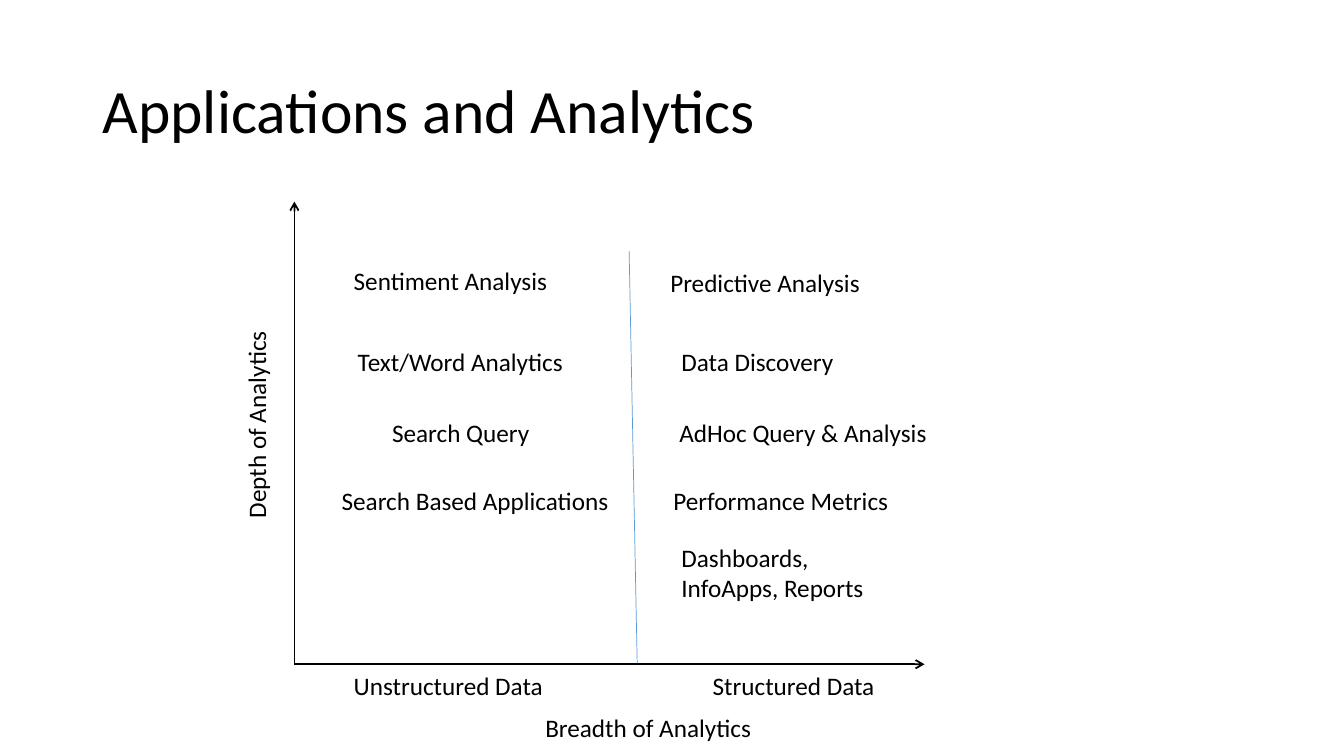
from lxml import etree
from pptx import Presentation
from pptx.dml.color import RGBColor
from pptx.enum import shapes, text
from pptx.oxml import ns
from pptx.util import Inches, Pt

BLACK = RGBColor(0x00, 0x00, 0x00)
BLUE = RGBColor(0x5B, 0x9B, 0xD5)
FONT = "Calibri"
LABEL_HEIGHT = 0.4

# Content: label, left, width
TITLE = "Applications and Analytics"
ROW_TOPS = (2.58, 3.39, 4.09, 4.77)
UNSTRUCTURED = [
    ("Sentiment Analysis", 3.41, 2.14),
    ("Text/Word Analytics", 3.45, 2.26),
    ("Search Query", 3.79, 1.58),
    ("Search Based Applications", 3.29, 2.88),
]
STRUCTURED = [
    ("Predictive Analysis", 6.55, 2.1),
    ("Data Discovery", 6.66, 1.73),
    ("AdHoc Query & Analysis", 6.64, 2.68),
    ("Performance Metrics", 6.58, 2.36),
]
REPORTS = ["Dashboards, ", "InfoApps, Reports"]
CATEGORIES = [("Unstructured Data", 3.41, 2.1), ("Structured Data", 6.97, 1.83)]

# Lines: start, end, colour, weight, arrow
LINES = [
    ((2.92, 6.59), (2.92, 2), BLACK, 1.25, True),
    ((2.92, 6.59), (9.17, 6.59), BLACK, 1.25, True),
    ((6.24, 2.49), (6.32, 6.58), BLUE, 0.5, False),
]

presentation = Presentation()
presentation.slide_width = Inches(13.33)
presentation.slide_height = Inches(7.5)
slide = presentation.slides.add_slide(presentation.slide_layouts[6])


def add_text(lines, left, top, width, height=LABEL_HEIGHT, size=18, wrap=False):
    shape = slide.shapes.add_textbox(*map(Inches, (left, top, width, height)))
    frame = shape.text_frame
    frame.word_wrap = wrap
    for index, line in enumerate(lines):
        paragraph = frame.add_paragraph() if index else frame.paragraphs[0]
        run = paragraph.add_run()
        run.text = line
        run.font.name = FONT
        run.font.size = Pt(size)
        run.font.color.rgb = BLACK
    return shape


def add_line(start, end, colour, weight, arrow):
    connector = slide.shapes.add_connector(
        shapes.MSO_CONNECTOR.STRAIGHT, *map(Inches, start + end))
    connector.line.color.rgb = colour
    connector.line.width = Pt(weight)
    if arrow:
        outline = connector.line._get_or_add_ln()
        etree.SubElement(outline, ns.qn("a:tailEnd"), type="arrow")
    etree.SubElement(connector._element.spPr, ns.qn("a:effectLst"))


# Title
title = add_text([TITLE], 0.92, 0.4, 11.5, 1.45, size=44, wrap=True)
title.text_frame.vertical_anchor = text.MSO_ANCHOR.MIDDLE
title.text_frame.paragraphs[0].line_spacing = 0.9

# Axes and divider
for line in LINES:
    add_line(*line)

# Applications in the two halves
for column, shift in ((UNSTRUCTURED, 0), (STRUCTURED, 0.02)):
    for row, (label, left, width) in enumerate(column):
        top = ROW_TOPS[row] + (0 if row else shift)
        add_text([label], left, top, width)
add_text(REPORTS, 6.66, 5.33, 2.51, 0.71, wrap=True)

# Axis labels
for label, left, width in CATEGORIES:
    add_text([label], left, 6.6, width)
add_text(["Breadth of Analytics"], 5.31, 7.02, 2.27)
depth = add_text(["Depth of Analytics"], 1.5, 4, 2.08)
depth.rotation = 270

presentation.save("out.pptx")
